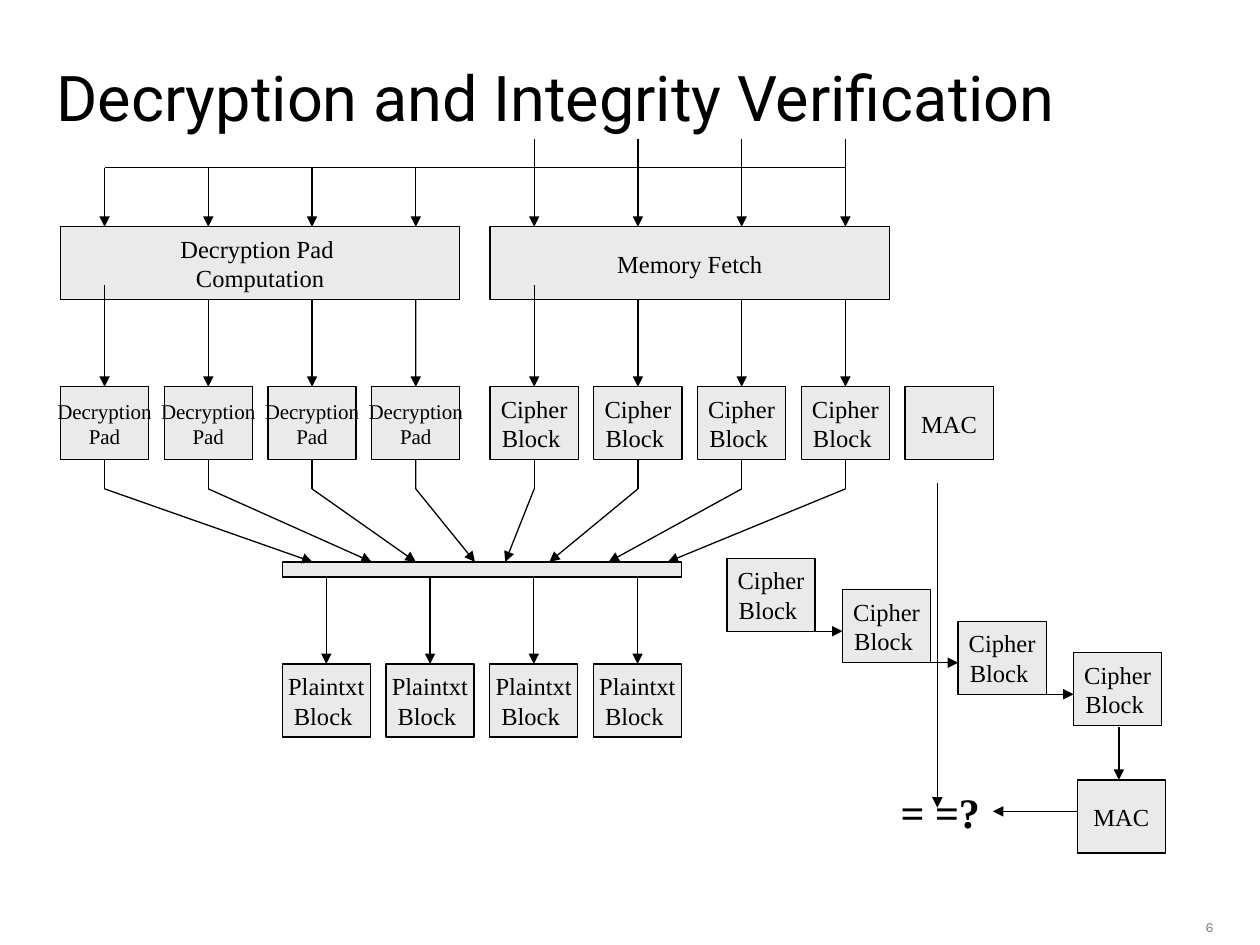
from lxml.etree import SubElement
from pptx import Presentation
from pptx.dml.color import RGBColor
from pptx.enum.shapes import MSO_CONNECTOR, MSO_SHAPE
from pptx.enum.text import MSO_ANCHOR, PP_ALIGN
from pptx.oxml.ns import qn
from pptx.util import Inches, Pt

COLORS = {"ink": "000000", "box": "EAEAEA", "number": "808080"}
SERIF = "Times New Roman"
TOP, BOTTOM = 0, 2

# Four narrow boxes span the width of one wide box
BOX_WIDTH, BOX_HEIGHT, WIDE = 0.7, 0.58, 3.17
PITCH = (WIDE - BOX_WIDTH) / 3
PAD_LEFT, CIPHER_LEFT, PLAIN_LEFT = 0.48, 3.89, 2.24
STAGE_TOP, BLOCK_TOP, PLAIN_TOP = 1.8, 3.07, 5.27
BUS_Y, INPUT_Y, BEND_Y = 1.33, 1.1, 3.88
MIXER_TOP, MIXER_HEIGHT = 4.46, 0.12
MIXER_INPUTS = [2.48, 2.95, 3.3, 3.77, 4.01, 4.36, 4.83, 5.3]

CIPHER = ["Cipher", "Block "]
PAD = ["Decryption", "Pad"]
PLAIN = ["Plaintxt", "Block "]


def color(name):
    return RGBColor.from_string(COLORS[name])


def write(frame, lines, size, font=SERIF, ink="ink", align=PP_ALIGN.CENTER, bold=False):
    for index, line in enumerate(lines):
        para = frame.paragraphs[0] if index == 0 else frame.add_paragraph()
        para.text = line
        para.alignment = align
        para.font.name = font
        para.font.size = Pt(size)
        para.font.bold = bold
        para.font.color.rgb = color(ink)


def add_box(page, left, top, lines=(), size=14, width=BOX_WIDTH, height=BOX_HEIGHT):
    box = page.shapes.add_shape(MSO_SHAPE.RECTANGLE, Inches(left), Inches(top),
                                Inches(width), Inches(height))
    box.shadow.inherit = False
    box.fill.solid()
    box.fill.fore_color.rgb = color("box")
    box.line.color.rgb = color("ink")
    box.line.width = Pt(0.75)
    box.text_frame.word_wrap = False
    box.text_frame.vertical_anchor = MSO_ANCHOR.MIDDLE
    write(box.text_frame, lines, size)
    return box


def add_text(page, left, top, width, height, text, size, **style):
    box = page.shapes.add_textbox(Inches(left), Inches(top), Inches(width), Inches(height))
    box.text_frame.word_wrap = True
    write(box.text_frame, [text], size, **style)
    return box


def add_line(page, start, end, arrow=True):
    line = page.shapes.add_connector(MSO_CONNECTOR.STRAIGHT,
                                     *(Inches(value) for value in (*start, *end)))
    line.line.color.rgb = color("ink")
    line.line.width = Pt(0.75)
    if arrow:
        SubElement(line.line._get_or_add_ln(), qn("a:tailEnd"), type="triangle")
    SubElement(line._element.spPr, qn("a:effectLst"))
    return line


def columns(left):
    return [left + index * PITCH for index in range(4)]


def center(left):
    return left + BOX_WIDTH / 2


def add_stages(page):
    """Address bus, the two wide stages and the arrows entering them."""
    add_line(page, (center(columns(CIPHER_LEFT)[-1]), BUS_Y),
             (center(PAD_LEFT), BUS_Y), arrow=False)
    for stage_left, lines, start_y in (
            (PAD_LEFT, ["Decryption Pad ", "Computation"], BUS_Y),
            (CIPHER_LEFT, ["Memory Fetch"], INPUT_Y)):
        add_box(page, stage_left, STAGE_TOP, lines, width=WIDE)
        for left in columns(stage_left):
            add_line(page, (center(left), start_y), (center(left), STAGE_TOP))


def add_block_row(page):
    """Pads and cipher blocks, each fed by its stage; returns the boxes."""
    blocks = []
    for row_left, lines, size in ((PAD_LEFT, PAD, 12), (CIPHER_LEFT, CIPHER, 14)):
        for index, left in enumerate(columns(row_left)):
            block = add_box(page, left, BLOCK_TOP, lines, size)
            start_y = 2.26 if index == 0 else STAGE_TOP + BOX_HEIGHT
            arrow = add_line(page, (center(left), start_y), (center(left), BLOCK_TOP))
            arrow.end_connect(block, TOP)
            blocks.append(block)
    add_box(page, CIPHER_LEFT + 4 * PITCH, BLOCK_TOP, ["MAC"])
    return blocks


def add_mixer(page, blocks):
    """Blocks funnel into the mixing bar, which yields the plaintext."""
    add_box(page, PLAIN_LEFT, MIXER_TOP, width=WIDE, height=MIXER_HEIGHT)
    lefts = columns(PAD_LEFT) + columns(CIPHER_LEFT)
    for block, left, target in zip(blocks, lefts, MIXER_INPUTS):
        bend = (center(left), BEND_Y)
        stub = add_line(page, (center(left), BLOCK_TOP + BOX_HEIGHT), bend, arrow=False)
        stub.begin_connect(block, BOTTOM)
        add_line(page, bend, (target, MIXER_TOP))
    for left in columns(PLAIN_LEFT):
        block = add_box(page, left, PLAIN_TOP, PLAIN)
        arrow = add_line(page, (center(left), MIXER_TOP + MIXER_HEIGHT),
                         (center(left), PLAIN_TOP))
        arrow.end_connect(block, TOP)


def add_verification(page):
    """Chain of cipher blocks giving a MAC to compare with the fetched one."""
    for index in range(4):
        left, top = 5.77 + index * 0.917, 4.43 + index * 0.25
        add_box(page, left, top, CIPHER)
        if index:
            add_line(page, (left - 0.25, top + 0.33), (left, top + 0.33))
    add_box(page, 8.55, 6.19, ["MAC"])
    add_line(page, (8.88, 5.77), (8.88, 6.19))
    add_line(page, (7.44, 3.83), (7.44, 6.41))
    add_line(page, (8.55, 6.44), (7.88, 6.44))
    add_text(page, 7.05, 6.19, 0.83, 0.5, "= =?", 24, align=PP_ALIGN.LEFT, bold=True)


def main():
    deck = Presentation()
    deck.slide_width, deck.slide_height = Inches(10), Inches(7.5)
    page = deck.slides.add_slide(deck.slide_layouts[6])

    # Title
    title = add_text(page, 0.35, 0.35, 9, 0.83, "Decryption and Integrity Verification",
                     36, font="Roboto", align=PP_ALIGN.LEFT)
    title.text_frame.vertical_anchor = MSO_ANCHOR.MIDDLE

    # Diagram
    add_stages(page)
    blocks = add_block_row(page)
    add_mixer(page, blocks)
    add_verification(page)

    # Page number
    add_text(page, 9.07, 7.24, 0.66, 0.17, "6", 8, font="Karla", ink="number",
             align=PP_ALIGN.RIGHT)
    deck.save("out.pptx")


if __name__ == "__main__":
    main()
